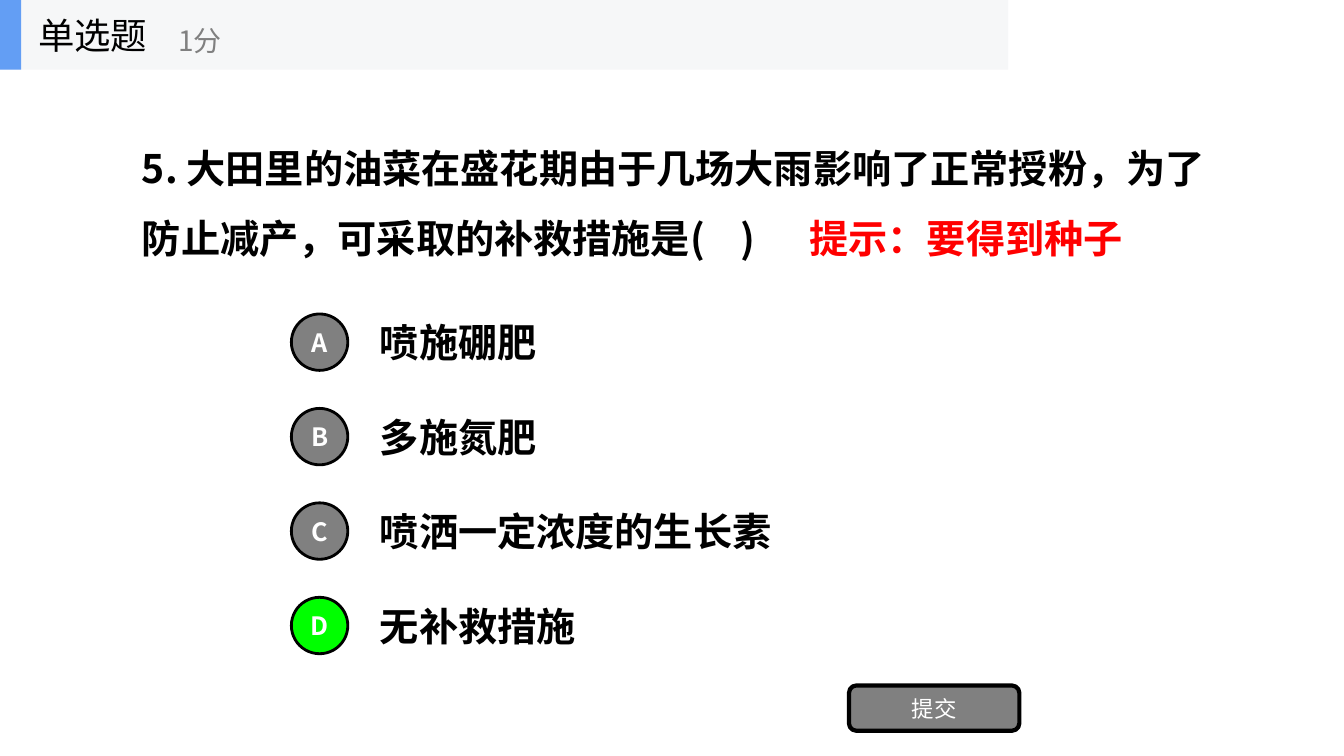
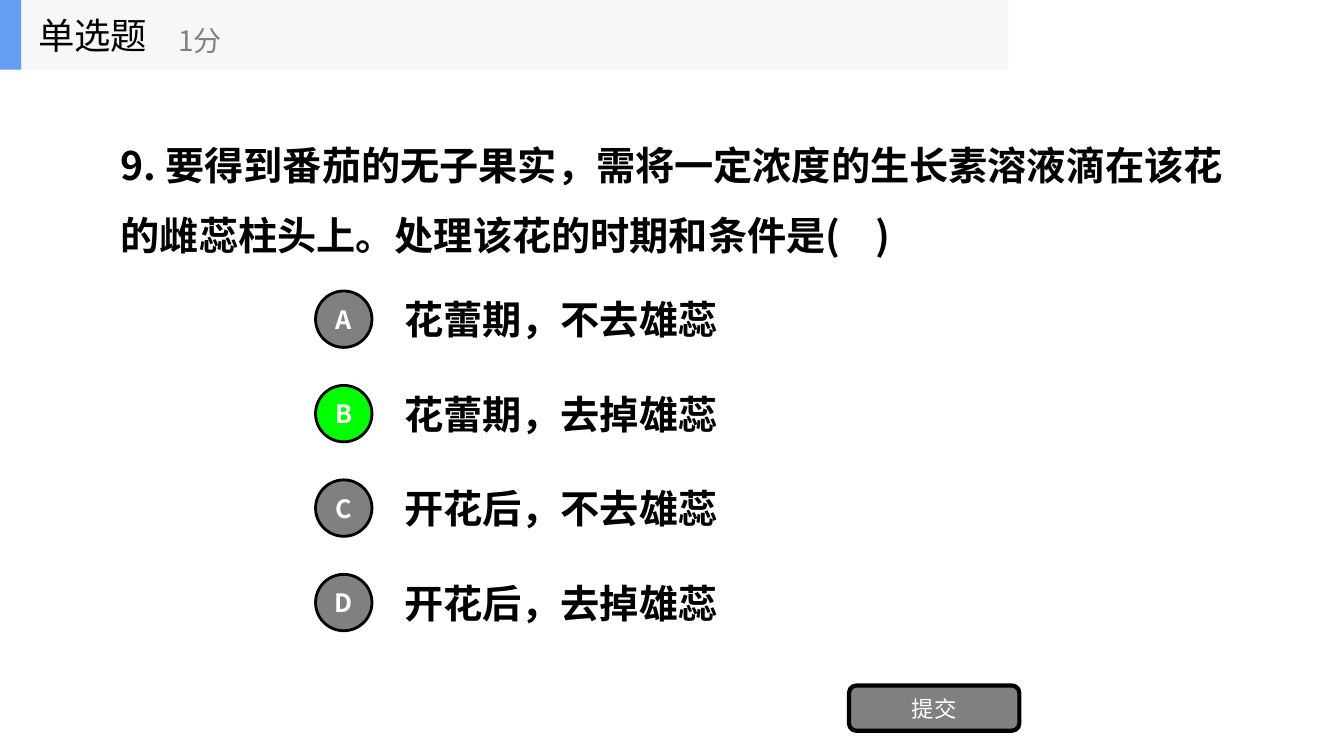
"""Two single-choice quiz slides with a header band, lettered options and a submit button."""
from lxml.etree import SubElement
from pptx import Presentation
from pptx.dml.color import RGBColor
from pptx.enum.shapes import MSO_SHAPE
from pptx.enum.text import MSO_ANCHOR, PP_ALIGN
from pptx.oxml.ns import qn
from pptx.util import Inches, Pt

FONT = "Noto Sans CJK SC"
BLACK = RGBColor(0x00, 0x00, 0x00)
WHITE = RGBColor(0xFF, 0xFF, 0xFF)
GRAY = RGBColor(0x80, 0x80, 0x80)
RED = RGBColor(0xFF, 0x00, 0x00)
GREEN = RGBColor(0x00, 0xFF, 0x00)
BLUE = RGBColor(0x63, 0x9E, 0xF4)
BAND = RGBColor(0xF6, 0xF7, 0xF8)

prs = Presentation()
prs.slide_width, prs.slide_height = Inches(13.33), Inches(7.5)
COL, ROW = prs.slide_width / 133.3, prs.slide_height / 75
BAND_H = 6.9
STEP, DOT, LABEL_H = 9.37, 5.6, 5.7

QUESTIONS = [
    dict(
        box=(13.1, 11.8, 111, 14.3),
        runs=[("5. 大田里的油菜在盛花期由于几场大雨影响了正常授粉，为了防止减产，可采取的补救措施是(    )\t", BLACK),
              ("提示：要得到种子", RED)],
        tab=66.2,
        start=(28.9, 31.15),
        options=["喷施硼肥", "多施氮肥", "喷洒一定浓度的生长素", "无补救措施"],
        answer="D",
    ),
    dict(
        box=(11, 11.1, 112.4, 15.1),
        runs=[("9. 要得到番茄的无子果实，需将一定浓度的生长素溶液滴在该花的雌蕊柱头上。处理该花的时期和条件是(    )", BLACK)],
        tab=None,
        start=(31.3, 28.87),
        options=["花蕾期，不去雄蕊", "花蕾期，去掉雄蕊", "开花后，不去雄蕊", "开花后，去掉雄蕊"],
        answer="B",
    ),
]


def add_text(sp, runs, size, bold=False, align=PP_ALIGN.LEFT):
    tf = sp.text_frame
    tf.word_wrap = True
    tf.vertical_anchor = MSO_ANCHOR.MIDDLE
    p = tf.paragraphs[0]
    p.alignment = align
    for text, color in runs:
        r = p.add_run()
        r.text = text
        r.font.name, r.font.size, r.font.bold = FONT, Pt(size), bold
        r.font.color.rgb = color
        SubElement(r.font._element, qn("a:ea")).set("typeface", FONT)
    return p


def add_box(s, x, y, w, h, kind=None, fill=None, line=0):
    at = [int(v) for v in (x * COL, y * ROW, w * COL, h * ROW)]
    if kind is None:
        return s.shapes.add_textbox(*at)
    sp = s.shapes.add_shape(kind, *at)
    sp.shadow.inherit = False
    sp.fill.solid()
    sp.fill.fore_color.rgb = fill
    if line:
        sp.line.color.rgb, sp.line.width = BLACK, Pt(line)
    else:
        sp.line.fill.background()
    return sp


for q in QUESTIONS:
    s = prs.slides.add_slide(prs.slide_layouts[6])

    add_box(s, 0, 0, 100, BAND_H, MSO_SHAPE.RECTANGLE, BAND)
    add_box(s, 0, 0, 2.1, BAND_H, MSO_SHAPE.RECTANGLE, BLUE)
    add_text(add_box(s, 2.8, 0, 20.8, BAND_H), [("单选题", BLACK)], 26)
    add_text(add_box(s, 16.7, 1.2, 25, 5.6), [("1分", GRAY)], 20)

    p = add_text(add_box(s, *q["box"]), q["runs"], 28, bold=True)
    p.line_spacing = 1.5
    if q["tab"]:
        tabs = SubElement(p._p.get_or_add_pPr(), qn("a:tabLst"))
        SubElement(tabs, qn("a:tab"), pos=str(int(q["tab"] * COL)), algn="l")

    x, y = q["start"]
    for i, (letter, option) in enumerate(zip("ABCD", q["options"])):
        top = y + i * STEP
        add_text(add_box(s, x + 7.8, top - 0.05, 52, LABEL_H), [(option, BLACK)], 28, bold=True)
        fill = GREEN if letter == q["answer"] else GRAY
        dot = add_box(s, x, top, DOT, DOT, MSO_SHAPE.OVAL, fill, 2)
        add_text(dot, [(letter, WHITE)], 18, bold=True, align=PP_ALIGN.CENTER)

    button = add_box(s, 84.2, 68, 16.9, 4.5, MSO_SHAPE.ROUNDED_RECTANGLE, GRAY, 3)
    add_text(button, [("提交", WHITE)], 16, align=PP_ALIGN.CENTER)

prs.save("out.pptx")
